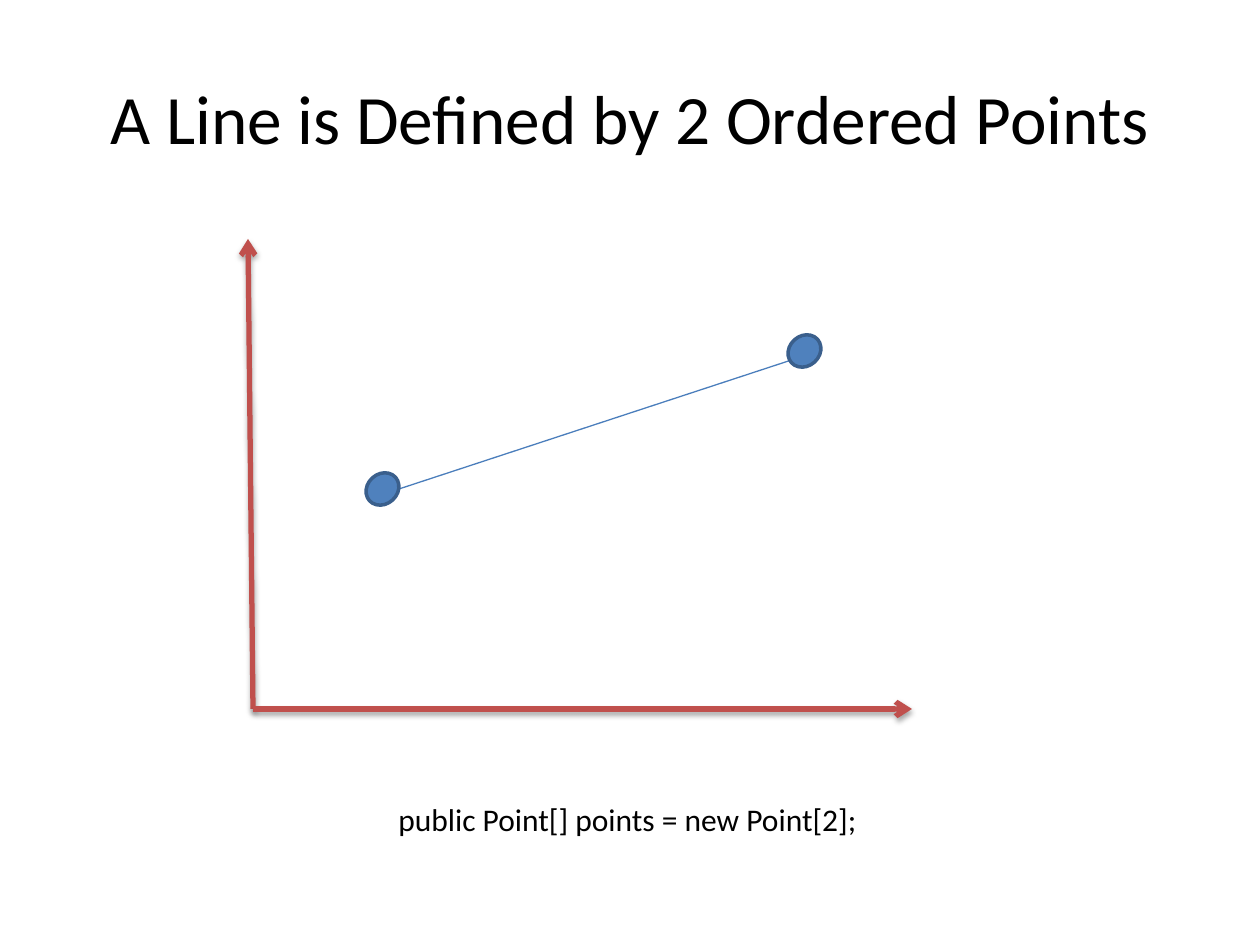
"""Build a slide showing a line between two points on a pair of axes."""
from dataclasses import dataclass

from lxml.etree import SubElement
from pptx import Presentation
from pptx.dml.color import RGBColor
from pptx.enum.shapes import MSO_CONNECTOR, MSO_SHAPE
from pptx.enum.text import MSO_ANCHOR, MSO_AUTO_SIZE, PP_ALIGN
from pptx.oxml.ns import qn
from pptx.util import Pt

SCALE = 914400 / 126


def px(*sizes):
    return [round(size * SCALE) for size in sizes]


@dataclass(frozen=True)
class Theme:
    font: str = "Calibri"
    ink: str = "000000"
    dot: str = "4F81BD"
    edge: str = "3A5F8C"
    link: str = "4B7EBC"
    axis: str = "C0504D"
    title: float = 39.6
    code: float = 18


class Deck:
    def __init__(self, theme):
        self.theme = theme
        self.file = Presentation()
        self.file.slide_width, self.file.slide_height = px(1260, 945)
        self.slide = self.file.slides.add_slide(self.file.slide_layouts[6])

    def text(self, box, words, size, align=PP_ALIGN.LEFT, wrap=False):
        frame = self.slide.shapes.add_textbox(*px(*box)).text_frame
        frame.text = words
        frame.word_wrap = wrap
        frame.auto_size = MSO_AUTO_SIZE.NONE if wrap else MSO_AUTO_SIZE.SHAPE_TO_FIT_TEXT
        frame.vertical_anchor = MSO_ANCHOR.MIDDLE if wrap else MSO_ANCHOR.TOP
        line = frame.paragraphs[0]
        line.alignment = align
        font = line.runs[0].font
        font.name, font.size = self.theme.font, Pt(size)
        font.color.rgb = RGBColor.from_string(self.theme.ink)

    def line(self, host, start, end, color, width):
        line = host.shapes.add_connector(MSO_CONNECTOR.STRAIGHT, *px(*start, *end))
        line.line.width = Pt(width)
        line.line.color.rgb = RGBColor.from_string(color)
        return line, SubElement(line._element.spPr, qn("a:effectLst"))

    def axis(self, start, end):
        line, effect = self.line(self.slide, start, end, self.theme.axis, 3)
        SubElement(line.line._get_or_add_ln(), qn("a:tailEnd"), type="arrow")
        shade = SubElement(effect, qn("a:outerShdw"), blurRad=str(Pt(3.1)),
                           dist=str(Pt(1.8)), dir="5400000", rotWithShape="0")
        color = SubElement(shade, qn("a:srgbClr"), val=self.theme.ink)
        SubElement(color, qn("a:alpha"), val="35000")

    def dot(self, host, left, top):
        dot = host.shapes.add_shape(MSO_SHAPE.OVAL, *px(left, top, 35, 30))
        dot.rotation = 317.8
        dot.shadow.inherit = False
        dot.fill.solid()
        dot.fill.fore_color.rgb = RGBColor.from_string(self.theme.dot)
        dot.line.color.rgb = RGBColor.from_string(self.theme.edge)
        dot.line.width = Pt(2)

    def pair(self, start, end, dots):
        group = self.slide.shapes.add_group_shape()
        self.line(group, start, end, self.theme.link, 0.75)
        for spot in dots:
            self.dot(group, *spot)


def main():
    theme = Theme()
    deck = Deck(theme)
    deck.text((63, 38, 1134, 158), "A Line is Defined by 2 Ordered Points",
              theme.title, PP_ALIGN.CENTER, True)
    deck.pair((399, 489), (822, 350), [(365, 474), (787, 336)])
    for end in ((248, 239), (912, 709)):
        deck.axis((253, 709), end)
    deck.text((386, 794, 489, 50), "public Point[] points = new Point[2];", theme.code)
    deck.file.save("out.pptx")


if __name__ == "__main__":
    main()
